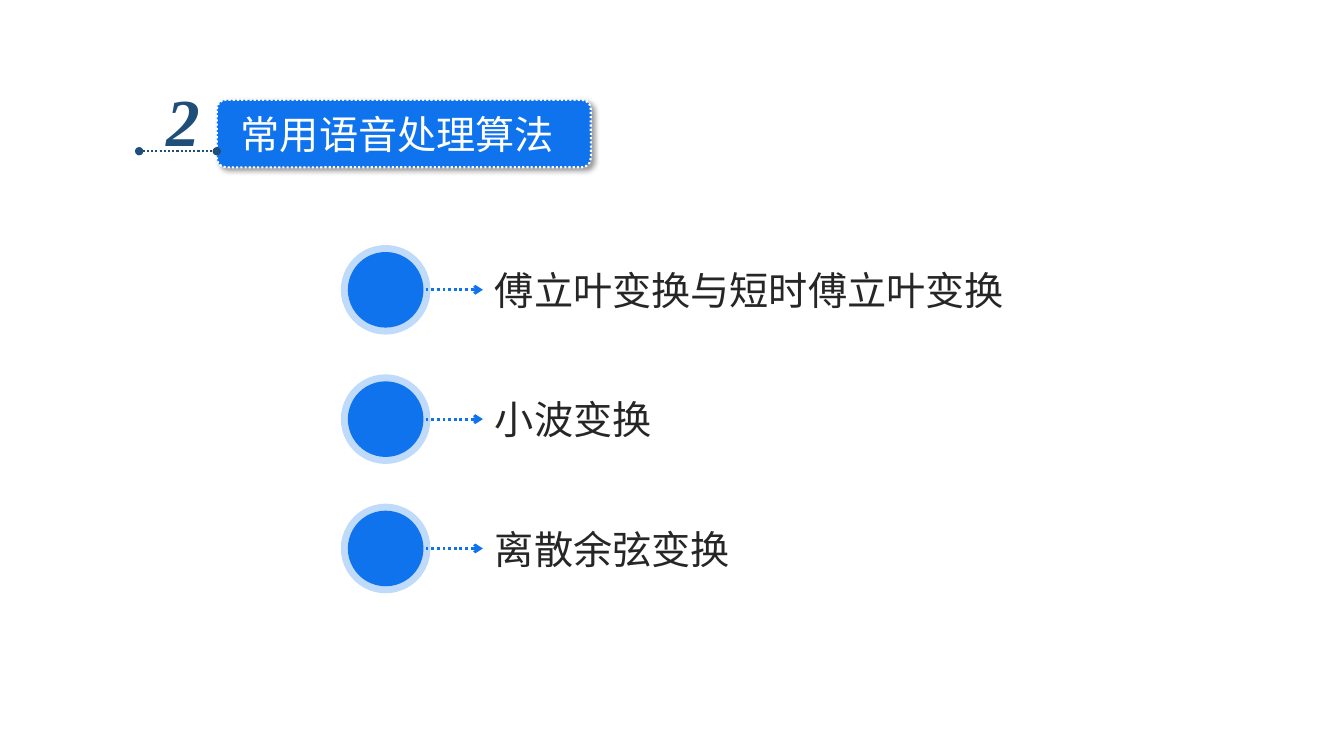
from math import cos, pi, sin

from lxml.etree import SubElement
from pptx import Presentation
from pptx.dml.color import RGBColor
from pptx.enum.dml import MSO_LINE
from pptx.enum.shapes import MSO_CONNECTOR, MSO_SHAPE
from pptx.enum.text import MSO_ANCHOR, MSO_AUTO_SIZE
from pptx.oxml.ns import qn
from pptx.util import Inches, Pt

NUMBER = "2"
TITLE = "常用语音处理算法"
TOPICS = ["傅立叶变换与短时傅立叶变换", "小波变换", "离散余弦变换"]

BLUE, NAVY, WHITE, INK = "0F73EE", "1F4E79", "FFFFFF", "262626"
CHINESE_FONT, NUMBER_FONT = "Noto Sans CJK SC", "Times New Roman"

CIRCLE_CENTER_X, FIRST_ROW_Y, ROW_STEP = 3.825, 2.875, 1.283
CIRCLE_SIZE, LABEL_HEIGHT = 0.75, 0.57
ARROW_START, ARROW_END, LABEL_LEFT = 4.11, 4.79, 4.81
LABEL_PADDING, LETTER_WIDTH = 0.23, 28 / 72

ATOM_UNITS_PER_INCH = 1000
BOTH_SIDES = [(1, 1), (-1, 1)]
TOP_AND_BOTTOM = [(1, 1), (1, -1)]
FOUR_CORNERS = [(x, y) for x in (1, -1) for y in (1, -1)]
ATOM_PARTS = [
    ([(0, -120), (35, -135), (63, -150), (60, -160), (45, -190), (25, -212), (0, -220),
      (-25, -212), (-45, -190), (-60, -160), (-63, -150), (-35, -135)], TOP_AND_BOTTOM),
    ([(160, -152), (190, -147), (203, -135), (205, -120), (190, -80), (145, -26),
      (113, -53), (107, -100), (96, -140), (125, -149)], FOUR_CORNERS),
    ([(70, -133), (80, -105), (85, -70), (76, -76), (50, -96), (25, -110)], FOUR_CORNERS),
    ([(115, -14), (124, 0), (115, 14), (112, 0)], BOTH_SIDES),
    ([(0, -90), (30, -75), (65, -55), (84, -32), (89, 0), (84, 32), (65, 55), (30, 75),
      (0, 90), (-30, 75), (-65, 55), (-84, 32), (-89, 0), (-84, -32), (-65, -55),
      (-30, -75)], [(1, 1)]),
]
NUCLEUS_RADII = (39, 17)


def color(value):
    return RGBColor.from_string(value)


def add_text(shapes, text, left, top, width, height, size, font, fill):
    box = shapes.add_textbox(Inches(left), Inches(top), Inches(width), Inches(height))
    frame = box.text_frame
    frame.word_wrap = False
    frame.auto_size = MSO_AUTO_SIZE.SHAPE_TO_FIT_TEXT
    frame.vertical_anchor = MSO_ANCHOR.MIDDLE
    paragraph = frame.paragraphs[0]
    paragraph.text = text
    paragraph.font.size = Pt(size)
    paragraph.font.name = font
    paragraph.font.color.rgb = color(fill)
    properties = paragraph._p.pPr.find(qn("a:defRPr"))
    SubElement(properties, qn("a:ea"), typeface=font)
    return paragraph


def add_dotted_line(shapes, start, end, y, fill, width, **ends):
    line = shapes.add_connector(
        MSO_CONNECTOR.STRAIGHT, Inches(start), Inches(y), Inches(end), Inches(y))
    line.line.color.rgb = color(fill)
    line.line.width = Pt(width)
    line.line.dash_style = MSO_LINE.ROUND_DOT
    for name, kind in ends.items():
        SubElement(line.line._ln, qn(f"a:{name}"), type=kind)
    SubElement(line._element.spPr, qn("a:effectLst"))


def add_circle(shapes, center_y):
    half = CIRCLE_SIZE / 2
    circle = shapes.add_shape(
        MSO_SHAPE.OVAL, Inches(CIRCLE_CENTER_X - half), Inches(center_y - half),
        Inches(CIRCLE_SIZE), Inches(CIRCLE_SIZE))
    circle.shadow.inherit = False
    circle.fill.solid()
    circle.fill.fore_color.rgb = color(BLUE)
    circle.line.color.rgb = color(BLUE)
    circle.line.width = Pt(10)
    line_color = circle.line._ln.find(".//" + qn("a:srgbClr"))
    SubElement(line_color, qn("a:alpha"), val="25000")


def add_atom(shapes, center_y):
    contours = [[(x * flip_x, y * flip_y) for x, y in points]
                for points, flips in ATOM_PARTS for flip_x, flip_y in flips]
    contours += [[(radius * cos(step * pi / 8), radius * sin(step * pi / 8))
                  for step in range(16)] for radius in NUCLEUS_RADII]
    builder = shapes.build_freeform(*contours[0][0], scale=Inches(1) / ATOM_UNITS_PER_INCH)
    builder.add_line_segments(contours[0][1:], close=True)
    for contour in contours[1:]:
        builder.move_to(*contour[0])
        builder.add_line_segments(contour[1:], close=True)
    atom = builder.convert_to_shape(
        round(CIRCLE_CENTER_X * ATOM_UNITS_PER_INCH), round(center_y * ATOM_UNITS_PER_INCH))
    atom.shadow.inherit = False
    atom.fill.solid()
    atom.fill.fore_color.rgb = color(WHITE)
    atom.line.fill.background()


def add_banner(shapes):
    banner = shapes.add_shape(
        MSO_SHAPE.ROUNDED_RECTANGLE, Inches(2.15), Inches(0.99), Inches(3.71), Inches(0.67))
    banner.adjustments[0] = 0.137
    banner.fill.solid()
    banner.fill.fore_color.rgb = color(BLUE)
    banner.line.color.rgb = color(WHITE)
    banner.line.width = Pt(1.5)
    banner.line.dash_style = MSO_LINE.ROUND_DOT
    banner.shadow.inherit = False
    effects = banner._element.spPr.find(qn("a:effectLst"))
    shadow = SubElement(effects, qn("a:outerShdw"), blurRad=str(Pt(4)), dist=str(Pt(3)),
                        dir="2700000", algn="tl", rotWithShape="0")
    shade = SubElement(shadow, qn("a:srgbClr"), val="000000")
    SubElement(shade, qn("a:alpha"), val="40000")


def main():
    presentation = Presentation()
    presentation.slide_width = Inches(13.33)
    presentation.slide_height = Inches(7.5)
    slide = presentation.slides.add_slide(presentation.slide_layouts[6])
    shapes = slide.shapes

    for row, topic in enumerate(TOPICS):
        center_y = FIRST_ROW_Y + row * ROW_STEP
        add_circle(shapes, center_y)
        add_dotted_line(shapes, ARROW_START, ARROW_END, center_y, BLUE, 2, tailEnd="arrow")
        add_atom(shapes, center_y)
        add_text(shapes, topic, LABEL_LEFT, center_y - LABEL_HEIGHT / 2,
                 len(topic) * LETTER_WIDTH + LABEL_PADDING, LABEL_HEIGHT,
                 28, CHINESE_FONT, INK)

    heading = shapes.add_group_shape().shapes
    add_banner(heading)
    add_text(heading, TITLE, 2.29, 1.04, 3.34, LABEL_HEIGHT, 28, CHINESE_FONT, WHITE)
    number = add_text(heading, NUMBER, 1.55, 0.73, 0.54, 0.91, 48, NUMBER_FONT, NAVY)
    number.font.bold = True
    number.font.italic = True
    add_dotted_line(heading, 1.38, 2.15, 1.5, NAVY, 1.5, headEnd="oval", tailEnd="oval")

    presentation.save("out.pptx")


if __name__ == "__main__":
    main()
